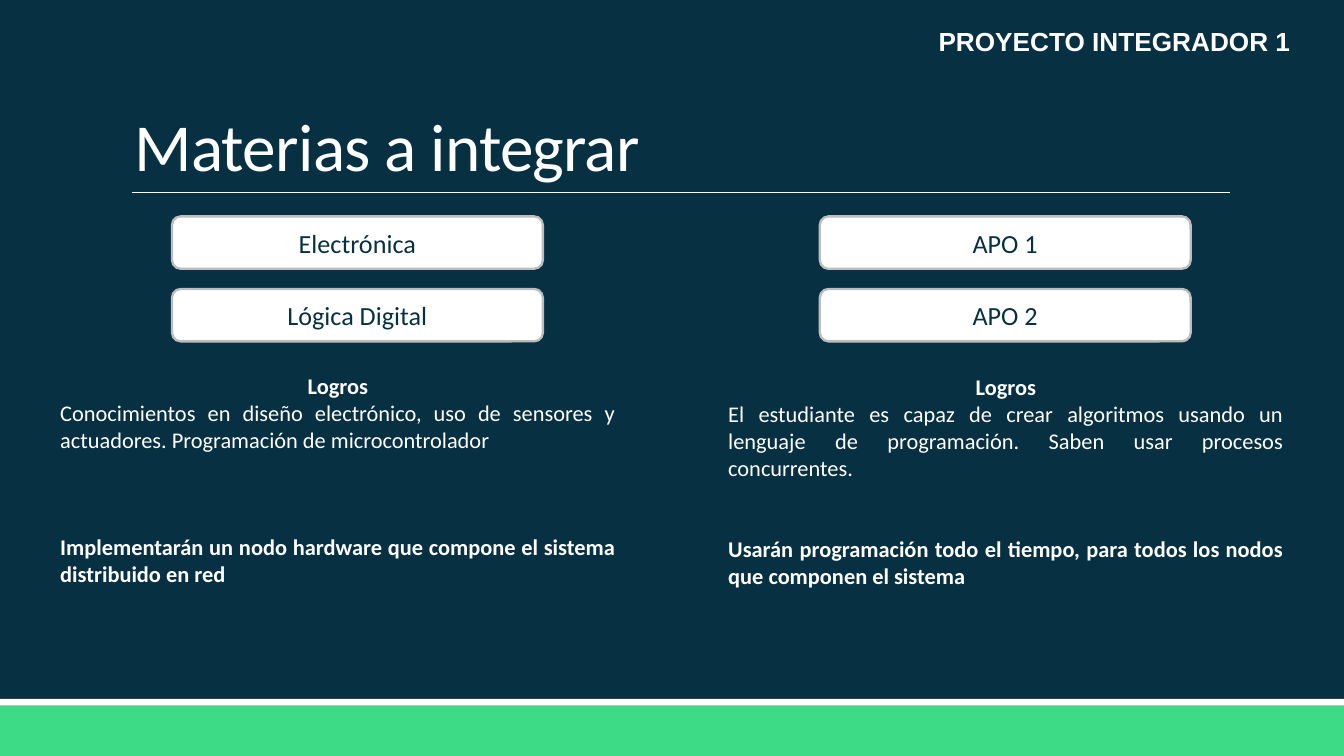
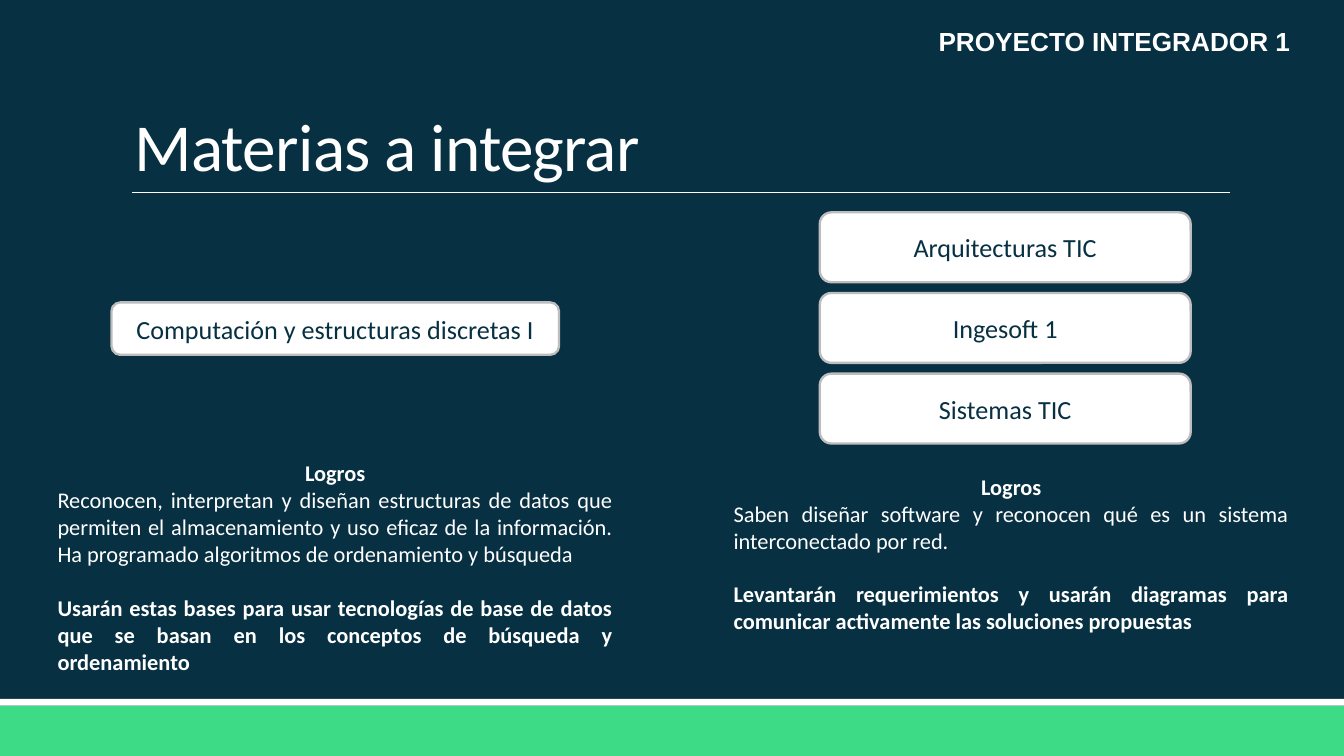
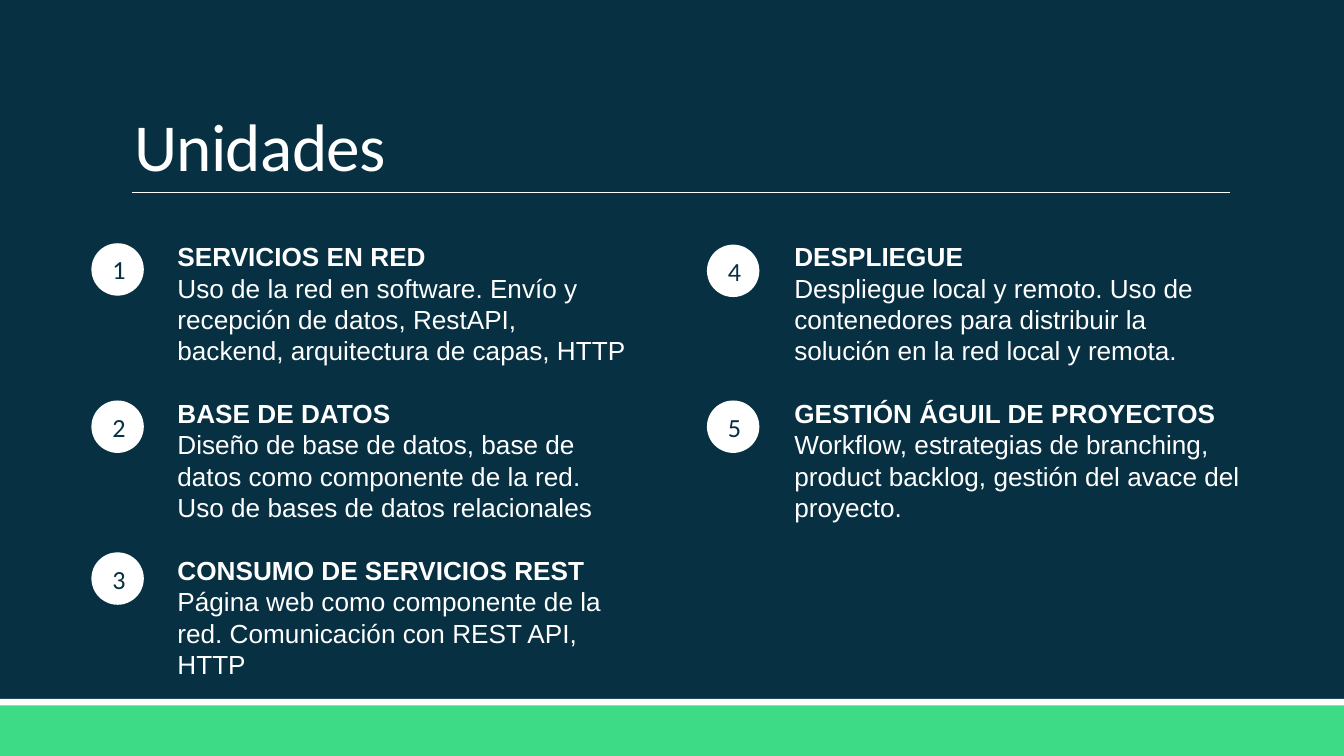
"""Build three course slides: two on the subjects to integrate and one on the units."""
import pptx
import pptx.dml.color
import pptx.enum.shapes
import pptx.enum.text
import pptx.oxml.ns
import pptx.util
from lxml import etree

Inches = pptx.util.Inches
Pt = pptx.util.Pt
ALIGN = pptx.enum.text.PP_ALIGN
ANCHOR = pptx.enum.text.MSO_ANCHOR
SHAPE = pptx.enum.shapes.MSO_SHAPE

COLORS = {"night": "073042", "green": "3DDB85", "white": "FFFFFF", "outline": "BDBDBD"}
WIDTH = 10
HEIGHT = WIDTH * 9 / 16
BAND_TOP = 5.25
BADGE_SIZE = 0.39
ARIAL_LINE = 16.8
CALIBRI_LINE = 14.4


def rgb(name):
    return pptx.dml.color.RGBColor.from_string(COLORS[name])


def box(left, top, width, height):
    return [Inches(length) for length in (left, top, width, height)]


def write(paragraph, text, size, font="Calibri", color="white", bold=False):
    run = paragraph.add_run()
    run.text = text
    run.font.size = Pt(size)
    run.font.name = font
    run.font.bold = bold
    run.font.color.rgb = rgb(color)
    return run


def add_figure(slide, kind, place, fill="white", outline=None, label=None):
    figure = slide.shapes.add_shape(kind, *box(*place))
    figure.shadow.inherit = False
    figure.fill.solid()
    figure.fill.fore_color.rgb = rgb(fill)
    if outline:
        figure.line.color.rgb = rgb(outline)
        figure.line.width = Pt(1.25)
    else:
        figure.line.fill.background()
    if label:
        figure.text_frame.vertical_anchor = ANCHOR.MIDDLE
        paragraph = figure.text_frame.paragraphs[0]
        paragraph.alignment = ALIGN.CENTER
        write(paragraph, label, 14, color="night")


def add_title(slide, text):
    title = slide.shapes.title
    title.left, title.top, title.width, title.height = box(0.9, 0.24, 8.25, 1.19)
    frame = title.text_frame
    frame.auto_size = pptx.enum.text.MSO_AUTO_SIZE.NONE
    frame.vertical_anchor = ANCHOR.BOTTOM
    paragraph = frame.paragraphs[0]
    paragraph.alignment = ALIGN.LEFT
    paragraph.line_spacing = 0.85
    run = write(paragraph, text, 36)
    run.font._element.set("spc", "-40")


def add_slide(deck, layout_index, title):
    slide = deck.slides.add_slide(deck.slide_layouts[layout_index])
    add_figure(slide, SHAPE.RECTANGLE, (0, BAND_TOP, WIDTH, HEIGHT - BAND_TOP), "green")
    add_figure(slide, SHAPE.RECTANGLE, (0, BAND_TOP - 0.05, WIDTH, 0.05))
    rule = slide.shapes.add_connector(
        pptx.enum.shapes.MSO_CONNECTOR.STRAIGHT,
        Inches(0.98), Inches(1.43), Inches(9.15), Inches(1.43))
    rule.line.color.rgb = rgb("white")
    rule.line.width = Pt(0.5)
    etree.SubElement(rule._element.spPr, pptx.oxml.ns.qn("a:effectLst"))
    add_title(slide, title)
    return slide


def add_text_box(slide, place):
    frame = slide.shapes.add_textbox(*box(*place)).text_frame
    frame.word_wrap = True
    return frame


def add_course_name(slide):
    paragraph = add_text_box(slide, (3.6, 0.14, 6.1, 0.34)).paragraphs[0]
    paragraph.alignment = ALIGN.RIGHT
    paragraph.line_spacing = Pt(ARIAL_LINE)
    write(paragraph, "PROYECTO INTEGRADOR 1", 14, "Arial", bold=True)


def add_subjects(slide, names, left, top, pitch=0.54, width=2.76, height=0.39):
    for row, name in enumerate(names):
        place = (left, top + row * pitch, width, height)
        add_figure(slide, SHAPE.ROUNDED_RECTANGLE, place, outline="outline", label=name)


def add_achievements(slide, place, learned, application, gap_lines=1):
    frame = add_text_box(slide, place)
    heading = frame.paragraphs[0]
    heading.alignment = ALIGN.CENTER
    write(heading, "Logros", 12, bold=True)
    summary = frame.add_paragraph()
    summary.alignment = ALIGN.JUSTIFY
    write(summary, learned, 12)
    outcome = frame.add_paragraph()
    outcome.alignment = ALIGN.JUSTIFY
    outcome.space_before = Pt(gap_lines * CALIBRI_LINE)
    write(outcome, application, 12, bold=True)


def add_unit_line(paragraph, text, bold, gap=0):
    properties = paragraph._p.get_or_add_pPr()
    properties.set("marL", "0")
    properties.set("indent", "0")
    etree.SubElement(properties, pptx.oxml.ns.qn("a:buNone"))
    paragraph.line_spacing = Pt(ARIAL_LINE)
    paragraph.space_before = Pt(gap)
    write(paragraph, text, 14, "Arial", bold=bold)


def add_units(body, place, units):
    body.left, body.top, body.width, body.height = box(*place)
    frame = body.text_frame
    frame.auto_size = pptx.enum.text.MSO_AUTO_SIZE.NONE
    for row, (name, content) in enumerate(units):
        heading = frame.add_paragraph() if row else frame.paragraphs[0]
        add_unit_line(heading, name, True, ARIAL_LINE if row else 0)
        add_unit_line(frame.add_paragraph(), content, False)


def add_badges(slide, left, tops, first):
    for number, top in enumerate(tops, first):
        add_figure(slide, SHAPE.OVAL, (left, top, BADGE_SIZE, BADGE_SIZE), label=str(number))


def build_first_subjects(deck):
    slide = add_slide(deck, 5, "Materias a integrar")
    add_subjects(slide, ["Electrónica", "Lógica Digital"], 1.28, 1.61)
    add_subjects(slide, ["APO 1", "APO 2"], 6.1, 1.61)
    add_course_name(slide)
    add_achievements(
        slide, (0.35, 2.72, 4.33, 1.92),
        "Conocimientos en diseño electrónico, uso de sensores y actuadores. "
        "Programación de microcontrolador",
        "Implementarán un nodo hardware que compone el sistema distribuido en red", 3)
    add_achievements(
        slide, (5.32, 2.73, 4.33, 1.72),
        "El estudiante es capaz de crear algoritmos usando un lenguaje de programación. "
        "Saben usar procesos concurrentes.",
        "Usarán programación todo el tiempo, para todos los nodos que componen el sistema", 2)


def build_second_subjects(deck):
    slide = add_slide(deck, 5, "Materias a integrar")
    add_course_name(slide)
    add_achievements(
        slide, (0.33, 3.37, 4.33, 1.72),
        "Reconocen, interpretan y diseñan estructuras de datos que permiten el "
        "almacenamiento y uso eficaz de la información. Ha programado algoritmos de "
        "ordenamiento y búsqueda",
        "Usarán estas bases para usar tecnologías de base de datos que se basan en los "
        "conceptos de búsqueda y ordenamiento")
    add_achievements(
        slide, (5.36, 3.47, 4.33, 1.31),
        "Saben diseñar software y reconocen qué es un sistema interconectado por red.",
        "Levantarán requerimientos y usarán diagramas para comunicar activamente las "
        "soluciones propuestas")
    add_subjects(slide, ["Computación y estructuras discretas I"], 0.83, 2.25, width=3.33)
    add_subjects(slide, ["Arquitecturas TIC", "Ingesoft 1", "Sistemas TIC"],
                 6.1, 1.58, pitch=0.6, height=0.52)


def build_units(deck):
    slide = add_slide(deck, 3, "Unidades")
    add_units(slide.placeholders[1], (1.22, 1.74, 3.54, 3.64), [
        ("SERVICIOS EN RED",
         "Uso de la red en software. Envío y recepción de datos, RestAPI, backend, "
         "arquitectura de capas, HTTP"),
        ("BASE DE DATOS",
         "Diseño de base de datos, base de datos como componente de la red. "
         "Uso de bases de datos relacionales"),
        ("CONSUMO DE SERVICIOS REST",
         "Página web como componente de la red. Comunicación con REST API, HTTP"),
    ])
    add_units(slide.placeholders[2], (5.81, 1.74, 3.54, 2.69), [
        ("DESPLIEGUE",
         "Despliegue local y remoto. Uso de contenedores para distribuir la solución "
         "en la red local y remota."),
        ("GESTIÓN ÁGUIL DE PROYECTOS",
         "Workflow, estrategias de branching, product backlog, gestión del avace del "
         "proyecto."),
    ])
    add_badges(slide, 0.68, [1.81, 2.98, 4.11], 1)
    add_badges(slide, 5.26, [1.82, 2.98], 4)


def main():
    deck = pptx.Presentation()
    deck.slide_width, deck.slide_height = Inches(WIDTH), Inches(HEIGHT)
    background = deck.slide_master.background.fill
    background.solid()
    background.fore_color.rgb = rgb("night")
    build_first_subjects(deck)
    build_second_subjects(deck)
    build_units(deck)
    deck.save("out.pptx")


if __name__ == "__main__":
    main()
